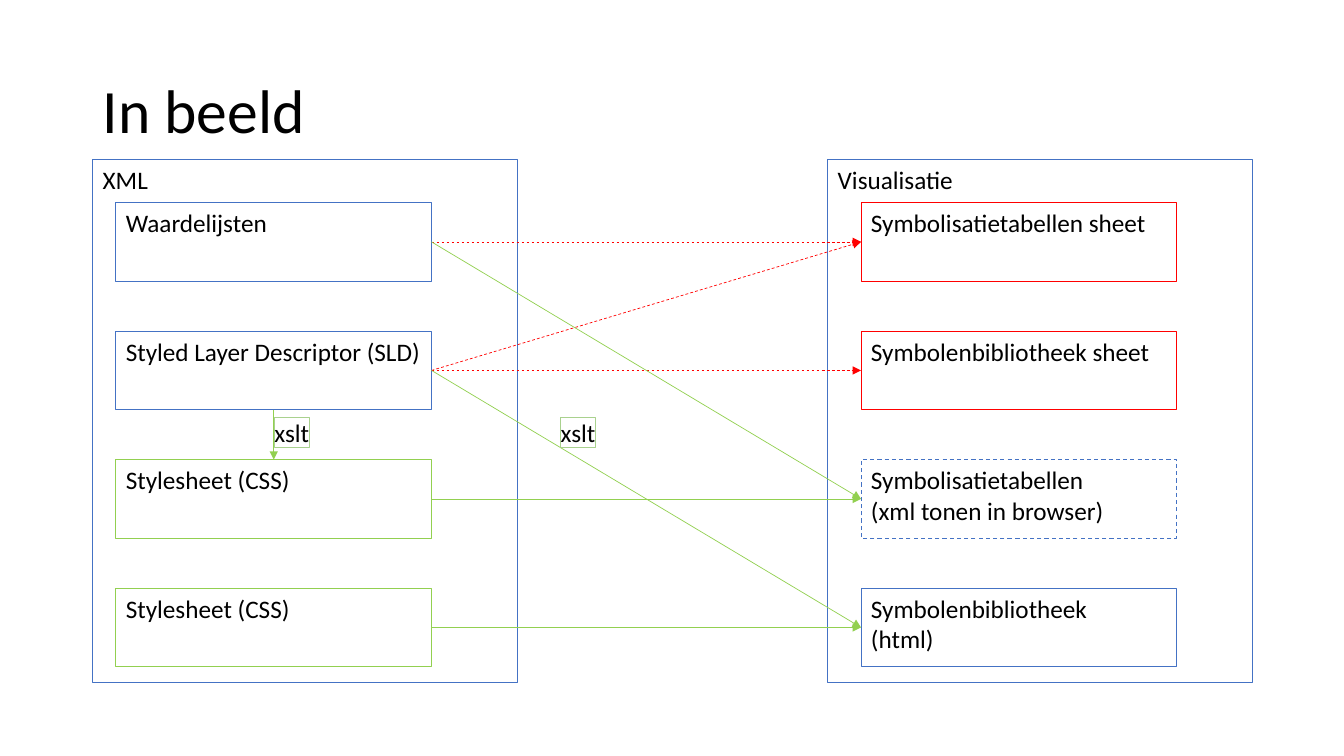
import pptx
import pptx.util
import pptx.dml.color
import pptx.enum.dml
import pptx.enum.shapes
import pptx.enum.text
import pptx.oxml
import pptx.oxml.ns

BLACK = pptx.dml.color.RGBColor(0x00, 0x00, 0x00)
BLUE = pptx.dml.color.RGBColor(0x44, 0x72, 0xC4)
RED = pptx.dml.color.RGBColor(0xFF, 0x00, 0x00)
GREEN = pptx.dml.color.RGBColor(0x92, 0xD0, 0x50)
PALE_GREEN = pptx.dml.color.RGBColor(0xA9, 0xD1, 0x8E)
FONT = "Calibri"
DASH = pptx.enum.dml.MSO_LINE.DASH
ANCHOR = pptx.enum.text.MSO_ANCHOR
FIT = pptx.enum.text.MSO_AUTO_SIZE
TOP_SIDE, LEFT_SIDE, BOTTOM_SIDE, RIGHT_SIDE = range(4)

PANEL_TOP, PANEL_WIDTH, PANEL_HEIGHT = 1.58, 4.21, 5.19
SOURCE_LEFT, TARGET_LEFT = 1.15, 8.54
ROW_TOP, ROW_PITCH = 2.01, 1.275
BOX_WIDTH, BOX_HEIGHT = 3.13, 0.78

PANELS = [(0.92, "XML"), (8.21, "Visualisatie")]
SOURCES = [
    ("Waardelijsten", BLUE, None),
    ("Styled Layer Descriptor (SLD)", BLUE, None),
    ("Stylesheet (CSS)", GREEN, None),
    ("Stylesheet (CSS)", GREEN, None),
]
TARGETS = [
    ("Symbolisatietabellen sheet", RED, None),
    ("Symbolenbibliotheek sheet", RED, None),
    ("Symbolisatietabellen\n(xml tonen in browser)", BLUE, DASH),
    ("Symbolenbibliotheek\n(html)", BLUE, None),
]
FLOWS = [
    (1, 1, RED, DASH), (1, 0, RED, DASH), (0, 0, RED, DASH),
    (0, 2, GREEN, None), (1, 3, GREEN, None),
    (2, 2, GREEN, None), (3, 3, GREEN, None),
]
LABEL_LEFTS = [5.56, 2.72]
LABEL_FORMAT = {
    "margin_left": 0, "margin_right": 0, "margin_top": 0, "margin_bottom": 0,
    "vertical_anchor": ANCHOR.MIDDLE, "auto_size": FIT.SHAPE_TO_FIT_TEXT,
}


def apply_format(target, values):
    """Set every attribute named in a dict of format values."""
    for name, value in values.items():
        setattr(target, name, value)


def write_text(frame, text, size, **values):
    """Write left-aligned black paragraphs in a formatted text frame."""
    frame.text = text
    apply_format(frame, values)
    for para in frame.paragraphs:
        para.alignment = pptx.enum.text.PP_ALIGN.LEFT
        apply_format(para.font, {"size": pptx.util.Pt(size), "name": FONT})
        para.font.color.rgb = BLACK


def style_line(line, colour, width, dash):
    """Give a line its colour, width and dash."""
    line.color.rgb = colour
    apply_format(line, {"width": pptx.util.Pt(width), "dash_style": dash})


def add_box(page, bounds, text, colour, dash=None, **values):
    """Add an unfilled outlined rectangle with text."""
    box = page.shapes.add_shape(
        pptx.enum.shapes.MSO_SHAPE.RECTANGLE, *map(pptx.util.Inches, bounds))
    box.shadow.inherit = False
    box.fill.background()
    style_line(box.line, colour, 0.75, dash)
    write_text(box.text_frame, text, 18, **values)
    return box


def add_column(page, left, entries):
    """Add evenly spaced boxes below each other."""
    return [
        add_box(page, (left, ROW_TOP + row * ROW_PITCH, BOX_WIDTH, BOX_HEIGHT),
                text, colour, dash, word_wrap=False, vertical_anchor=ANCHOR.TOP)
        for row, (text, colour, dash) in enumerate(entries)
    ]


def add_arrow(page, start, start_side, end, end_side, colour, dash=None):
    """Connect two boxes with a thin arrow."""
    arrow = page.shapes.add_connector(
        pptx.enum.shapes.MSO_CONNECTOR.STRAIGHT, 0, 0, 0, 0)
    arrow.begin_connect(start, start_side)
    arrow.end_connect(end, end_side)
    style_line(arrow.line, colour, 0.5, dash)
    head = pptx.oxml.parse_xml(
        f'<a:tailEnd {pptx.oxml.ns.nsdecls("a")} type="triangle"/>')
    arrow.line._get_or_add_ln().append(head)
    effects = pptx.oxml.parse_xml(
        f'<a:effectLst {pptx.oxml.ns.nsdecls("a")}/>')
    arrow._element.spPr.append(effects)


def add_title(page, text):
    """Place and format the title placeholder."""
    title = page.shapes.title
    bounds = dict(left=0.92, top=0.4, width=11.5, height=1.45)
    apply_format(title, {
        name: pptx.util.Inches(value) for name, value in bounds.items()})
    write_text(title.text_frame, text, 44, word_wrap=True,
               vertical_anchor=ANCHOR.MIDDLE, auto_size=FIT.NONE)
    title.text_frame.paragraphs[0].line_spacing = 0.9


def main():
    """Build the slide and save the deck."""
    deck = pptx.Presentation()
    apply_format(deck, {"slide_width": pptx.util.Inches(13.33),
                        "slide_height": pptx.util.Inches(7.5)})
    page = deck.slides.add_slide(deck.slide_layouts.get_by_name("Title Only"))
    add_title(page, "In beeld")
    for left, text in PANELS:
        add_box(page, (left, PANEL_TOP, PANEL_WIDTH, PANEL_HEIGHT), text, BLUE,
                word_wrap=True, vertical_anchor=ANCHOR.TOP)
    sources = add_column(page, SOURCE_LEFT, SOURCES)
    targets = add_column(page, TARGET_LEFT, TARGETS)
    for source, target, colour, dash in FLOWS:
        add_arrow(page, sources[source], RIGHT_SIDE,
                  targets[target], LEFT_SIDE, colour, dash)
    add_arrow(page, sources[1], BOTTOM_SIDE, sources[2], TOP_SIDE, GREEN)
    for left in LABEL_LEFTS:
        add_box(page, (left, 4.14, 0.35, 0.3), "xslt", PALE_GREEN,
                word_wrap=False, **LABEL_FORMAT)
    deck.save("out.pptx")


main()
